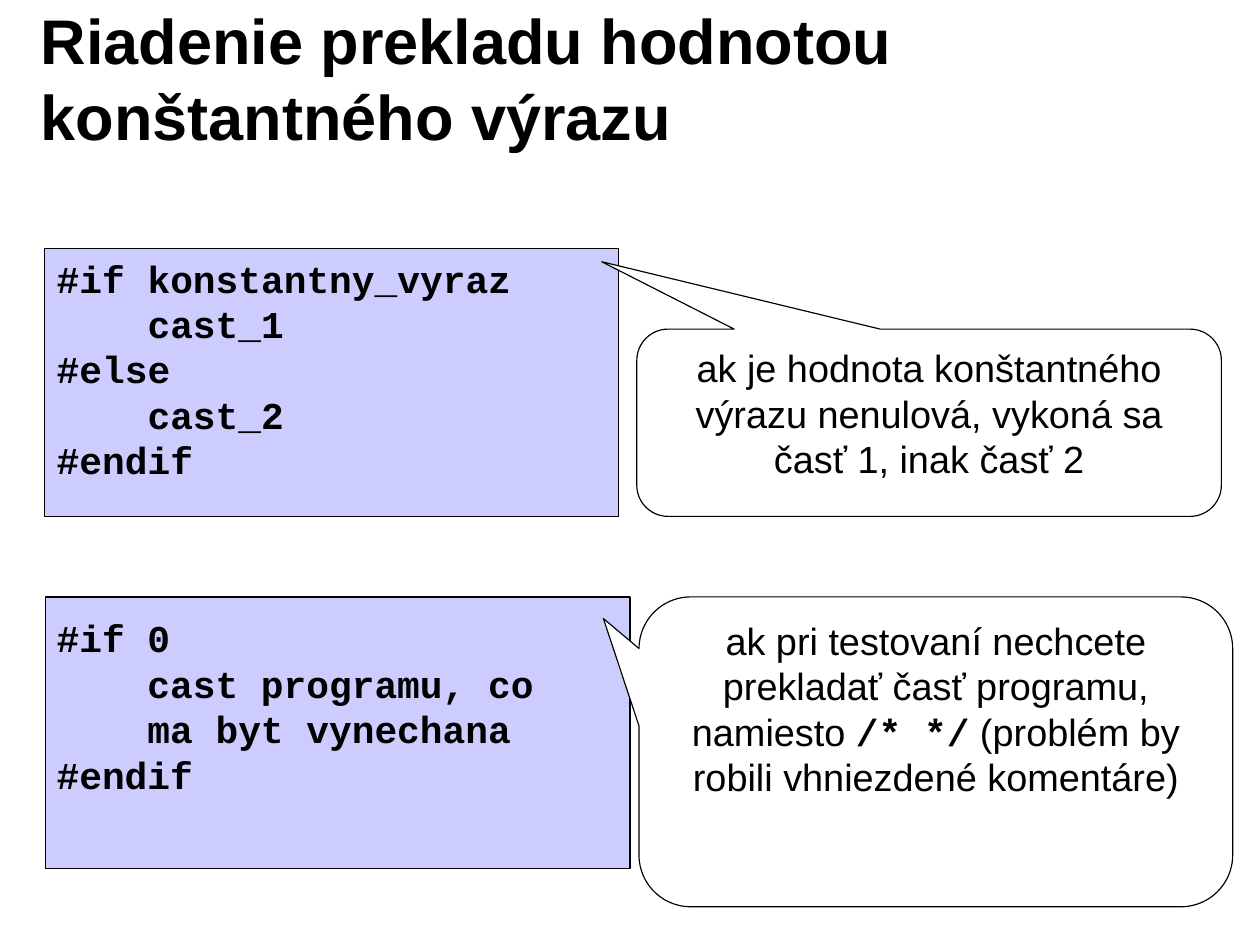
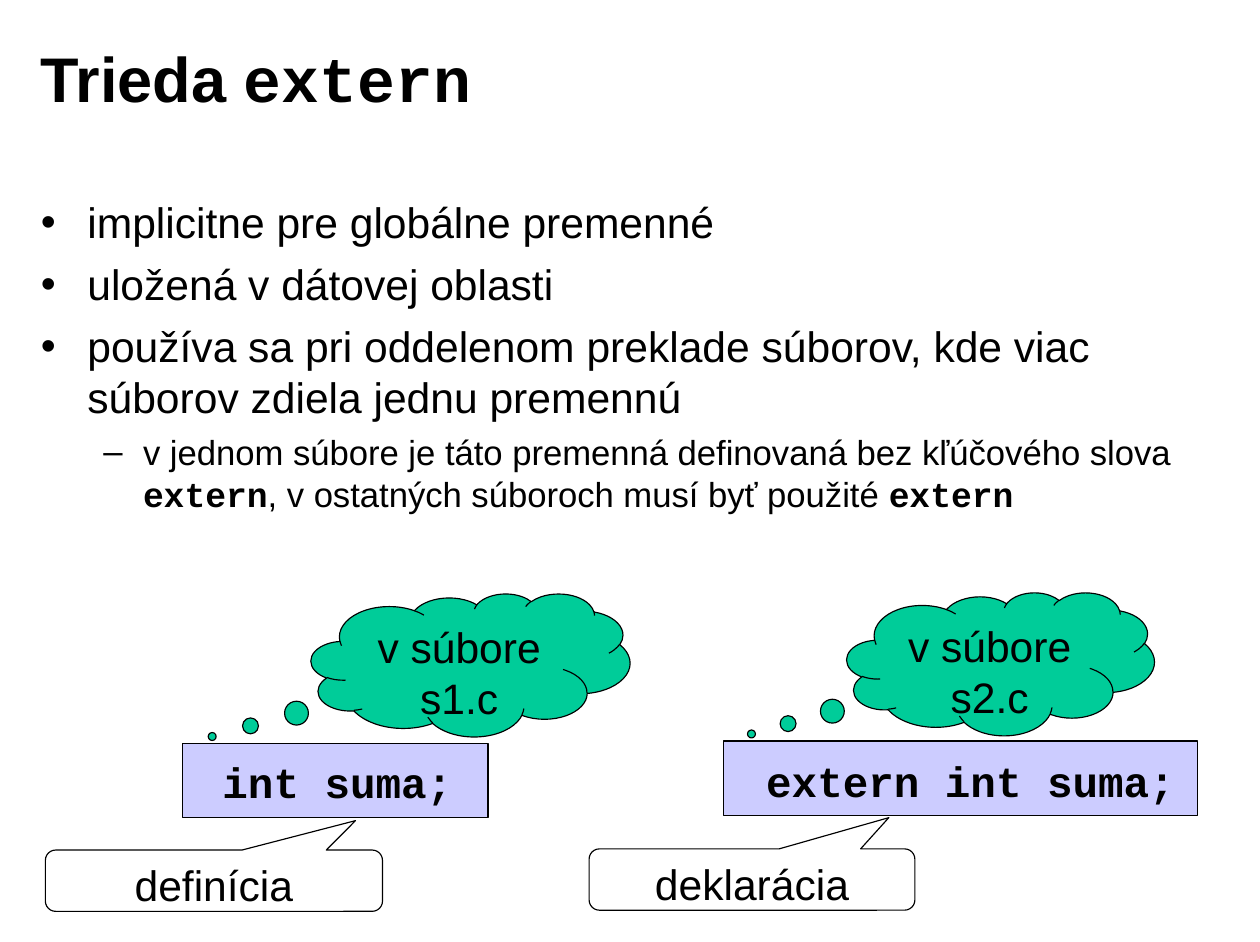
from dataclasses import dataclass

from lxml import etree
from pptx import Presentation
from pptx import util as u
from pptx.dml.color import RGBColor
from pptx.enum import shapes, text
from pptx.oxml.ns import qn


@dataclass(frozen=True)
class Theme:
    ink: str = "000000"
    code_fill: str = "CCCCFF"
    note_fill: str = "FFFFFF"
    cloud_fill: str = "00CC99"
    sans: str = "Arial"
    mono: str = "Courier New"
    title: float = 40
    body: float = 27
    sub: float = 22
    panel: float = 24
    line: float = 0.75


T = Theme()
SIZE = (11.1, 8.3)
TITLE_BOX = (0.25, 0.17, 8.92, 1.02)
BODY_BOX = (0.25, 1.67, 10.62, 4.08)
WIDE, TIGHT = (0.11, 0.06), (0.1, 0.05)  # left/right and top/bottom insets
KINDS = shapes.MSO_SHAPE
ROUNDING = 0.167

# A paragraph is a list of (text, is_code) runs.
COND_TITLE = [("Riadenie prekladu hodnotou konštantného výrazu", False)]
PANELS = [
    {
        "code": ["#if konstantny_vyraz", "    cast_1", "#else", "    cast_2", "#endif"],
        "code_box": (0.39, 2.19, 5.06, 2.36),
        "inset": WIDE,
        "note": [("ak je hodnota konštantného výrazu nenulová, "
                  "vykoná sa časť 1, inak časť 2", False)],
        "note_box": (5.61, 2.9, 5.15, 1.65),
        "note_inset": WIDE,
        "tip": (-0.56, -0.86),
    },
    {
        "code": ["#if 0", "    cast programu, co", "    ma byt vynechana", "#endif"],
        "code_box": (0.4, 5.26, 5.15, 2.39),
        "inset": (0.1, 0.16),
        "note": [("ak pri testovaní nechcete prekladať časť programu, namiesto ", False),
                 ("/* */", True),
                 (" (problém by robili vhniezdené komentáre)", False)],
        "note_box": (5.63, 5.26, 5.23, 2.73),
        "note_inset": TIGHT,
        "tip": (-0.56, -0.43),
    },
]

EXTERN_TITLE = [("Trieda ", False), ("extern", True)]
BULLETS = [  # level, runs
    (0, [("implicitne pre globálne premenné", False)]),
    (0, [("uložená v dátovej oblasti", False)]),
    (0, [("používa sa pri oddelenom preklade súborov, "
          "kde viac súborov zdiela jednu premennú", False)]),
    (1, [("v jednom súbore je táto premenná definovaná bez kľúčového slova ", False),
         ("extern", True),
         (", v ostatných súboroch musí byť použité ", False),
         ("extern", True)]),
]
LEVELS = [  # mark, left margin, hanging indent, size, space before
    ("•", 0.41, 0.41, T.body, 6.8),
    ("–", 0.9, 0.35, T.sub, 5.5),
]
FILES = [
    {
        "code": "int suma;", "code_box": (1.61, 6.55, 2.69, 0.65), "inset": (0.35, 0.11),
        "cloud": "v súbore s1.c", "cloud_box": (2.74, 5.23, 2.81, 1.26),
        "cloud_tip": (-0.81, 0.5),
        "role": "definícia", "role_box": (0.4, 7.49, 2.97, 0.54), "role_tip": (0.42, -0.98),
    },
    {
        "code": "extern int suma;", "code_box": (6.37, 6.53, 4.18, 0.66),
        "inset": (0.38, 0.12),
        "cloud": "v súbore s2.c", "cloud_box": (7.46, 5.22, 2.71, 1.26),
        "cloud_tip": (-0.81, 0.49),
        "role": "deklarácia", "role_box": (5.19, 7.48, 2.87, 0.54), "role_tip": (0.42, -1.01),
    },
]


def inches(values):
    return [u.Inches(v) for v in values]


def add_runs(p, runs, size, bold=False):
    for words, is_code in runs:
        r = p.add_run()
        r.text = words
        r.font.name = T.mono if is_code else T.sans
        r.font.size = u.Pt(size)
        r.font.bold = bold or is_code
        r.font.color.rgb = RGBColor.from_string(T.ink)


def set_frame(tf, inset, anchor=text.MSO_ANCHOR.TOP, right=None):
    side, top = inches(inset)
    tf.margin_left = side
    tf.margin_right = side if right is None else u.Inches(right)
    tf.margin_top = tf.margin_bottom = top
    tf.word_wrap = True
    tf.auto_size = text.MSO_AUTO_SIZE.NONE
    tf.vertical_anchor = anchor


def paragraphs(tf, count):
    return [tf.paragraphs[0]] + [tf.add_paragraph() for _ in range(count - 1)]


def place(sp, box):
    sp.left, sp.top, sp.width, sp.height = inches(box)


def add_title(s, runs):
    sp = s.shapes.title
    place(sp, TITLE_BOX)
    set_frame(sp.text_frame, WIDE, text.MSO_ANCHOR.MIDDLE)
    p = sp.text_frame.paragraphs[0]
    p.alignment = text.PP_ALIGN.LEFT
    add_runs(p, runs, T.title, bold=True)


def add_panel(s, kind, box, fill, adjustments=()):
    sp = s.shapes.add_shape(kind, *inches(box))
    sp.shadow.inherit = False
    sp.fill.solid()
    sp.fill.fore_color.rgb = RGBColor.from_string(fill)
    sp.line.color.rgb = RGBColor.from_string(T.ink)
    sp.line.width = u.Pt(T.line)
    for i, value in enumerate(adjustments):
        sp.adjustments[i] = value
    return sp


def add_code(s, box, lines, size, inset):
    tf = add_panel(s, KINDS.RECTANGLE, box, T.code_fill).text_frame
    set_frame(tf, inset, right=0.05)
    for p, line in zip(paragraphs(tf, len(lines)), lines):
        p.alignment = text.PP_ALIGN.LEFT
        add_runs(p, [(line, True)], size)


def add_callout(s, kind, box, fill, adjustments, runs, size, inset=TIGHT):
    tf = add_panel(s, kind, box, fill, adjustments).text_frame
    set_frame(tf, inset)
    tf.paragraphs[0].alignment = text.PP_ALIGN.CENTER
    add_runs(tf.paragraphs[0], runs, size)


def add_note(s, box, tip, runs, size, inset=TIGHT):
    add_callout(s, KINDS.ROUNDED_RECTANGULAR_CALLOUT, box, T.note_fill,
                (*tip, ROUNDING), runs, size, inset)


def add_bullets(s):
    sp = s.placeholders[1]
    place(sp, BODY_BOX)
    tf = sp.text_frame
    set_frame(tf, WIDE)
    for i, (p, (level, runs)) in enumerate(zip(paragraphs(tf, len(BULLETS)), BULLETS)):
        mark, margin, hang, size, before = LEVELS[level]
        p.level = level
        p.space_before = u.Pt(before if i else 0)
        pPr = p._p.get_or_add_pPr()
        pPr.set("marL", str(u.Inches(margin)))
        pPr.set("indent", str(-u.Inches(hang)))
        etree.SubElement(pPr, qn("a:buFont"), typeface=T.sans)
        etree.SubElement(pPr, qn("a:buChar"), char=mark)
        add_runs(p, runs, size)


def conditional_slide(prs):
    s = prs.slides.add_slide(prs.slide_layouts.get_by_name("Title Only"))
    add_title(s, COND_TITLE)
    for d in PANELS:
        add_code(s, d["code_box"], d["code"], T.panel, d["inset"])
        add_note(s, d["note_box"], d["tip"], d["note"], T.panel, d["note_inset"])


def extern_slide(prs):
    s = prs.slides.add_slide(prs.slide_layouts.get_by_name("Title and Content"))
    add_title(s, EXTERN_TITLE)
    add_bullets(s)
    for d in FILES:
        add_code(s, d["code_box"], [d["code"]], T.body, d["inset"])
        add_callout(s, KINDS.CLOUD_CALLOUT, d["cloud_box"], T.cloud_fill,
                    d["cloud_tip"], [(d["cloud"], False)], T.body)
        add_note(s, d["role_box"], d["role_tip"], [(d["role"], False)], T.body)


def main():
    prs = Presentation()
    prs.slide_width, prs.slide_height = inches(SIZE)
    conditional_slide(prs)
    extern_slide(prs)
    prs.save("out.pptx")


if __name__ == "__main__":
    main()
